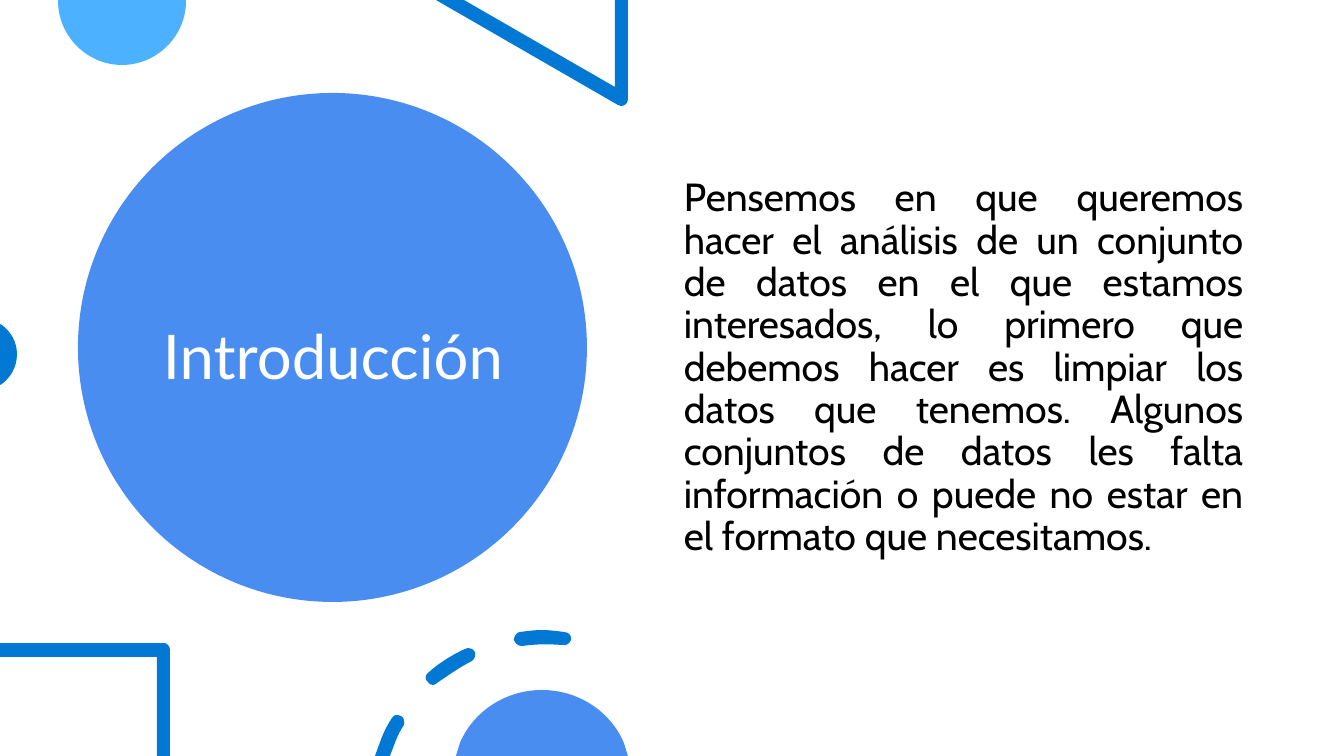
from pptx import Presentation
from pptx.dml.color import RGBColor
from pptx.enum.shapes import MSO_SHAPE
from pptx.enum.text import MSO_ANCHOR, PP_ALIGN
from pptx.oxml.ns import qn
from pptx.util import Emu, Inches, Pt

PIXELS_PER_INCH = 100.8
WIDTH, HEIGHT = 1344, 756
COLORS = {
    "circle": "498DF1",
    "sky": "4CB1FE",
    "accent": "0078D4",
    "title": "FFFFFF",
    "body": "000000",
}
BODY = (
    "Pensemos en que queremos hacer el análisis de un conjunto de datos en el "
    "que estamos interesados, lo primero que debemos hacer es limpiar los datos "
    "que tenemos. Algunos conjuntos de datos les falta información o puede no "
    "estar en el formato que necesitamos."
)

# Outlines: two numbers are a corner, six are a Bezier curve
SKY_CIRCLE = [(186, 0), (58, 0), (58, 1), (58, 36, 87, 65, 122, 65),
              (157, 65, 186, 36, 186, 1)]
TRIANGLE = [(628, 0), (615, 0), (615, 87), (464, 0), (436, 0), (618, 105),
            (619, 106, 620, 106, 621, 106), (625, 106, 628, 103, 628, 99)]
EDGE_DOT = [(0, 324), (0, 385), (2, 384), (11, 377, 17, 367, 17, 354),
            (17, 342, 11, 332, 2, 325)]
SQUARE = [(164, 643), (0, 643), (0, 657), (157, 657), (157, HEIGHT),
          (170, HEIGHT), (170, 650), (170, 646, 167, 643, 164, 643)]
LOW_DASH = [(398, 715), (396, 714, 393, 716, 392, 718),
            (388, 724, 385, 730, 382, 737), (375, HEIGHT), (390, HEIGHT),
            (395, 743), (397, 737, 400, 731, 404, 725),
            (405, 722, 404, 717, 401, 716), (400, 715, 399, 715, 398, 715)]
MIDDLE_DASH = [(468, 648), (467, 648, 466, 648, 465, 649),
               (452, 655, 439, 663, 428, 673), (425, 675, 425, 680, 428, 682),
               (429, 684, 431, 685, 433, 685), (435, 685, 436, 684, 437, 683),
               (449, 675, 460, 667, 472, 661), (475, 659, 476, 655, 475, 652),
               (473, 649, 471, 648, 468, 648)]
TOP_DASH = [(542, 630), (535, 630, 528, 631, 520, 632),
            (517, 632, 514, 636, 514, 640), (515, 643, 518, 646, 522, 646),
            (536, 644, 549, 644, 562, 645), (567, 646, 570, 643, 571, 640),
            (572, 636, 569, 632, 564, 632), (557, 631, 549, 630, 542, 630)]
BOTTOM_CIRCLE = [(542, 690), (505, 690, 473, 712, 460, 743), (456, HEIGHT),
                 (628, HEIGHT), (624, 743), (611, 712, 579, 690, 542, 690)]


def px(length):
    return Emu(round(Inches(1) * length / PIXELS_PER_INCH))


def paint(shape, color):
    shape.fill.solid()
    shape.fill.fore_color.rgb = RGBColor.from_string(COLORS[color])
    shape.line.fill.background()
    shape.shadow.inherit = False


def points(step):
    """Split the numbers of a step into points."""
    return [(px(x), px(y)) for x, y in zip(step[::2], step[1::2])]


def bend(shape, steps):
    """Join the three straight segments of each curve into one Bezier."""
    segments = iter(list(shape._element.iter(qn("a:lnTo"))))
    for step in steps:
        first, *others = [next(segments) for _ in points(step)]
        if others:
            first.tag = qn("a:cubicBezTo")
        for segment in others:
            first.append(segment[0])
            segment.getparent().remove(segment)


def add_outline(page, color, *contours):
    builder = page.shapes.build_freeform(*points(contours[0][0])[0], scale=1.0)
    for index, (start, *steps) in enumerate(contours):
        if index:
            builder.move_to(*points(start)[0])
        builder.add_line_segments(
            [point for step in steps for point in points(step)], close=True)
    shape = builder.convert_to_shape()
    bend(shape, [step for contour in contours for step in contour[1:]])
    paint(shape, color)


def add_circle(page, left, top, size, color):
    shape = page.shapes.add_shape(
        MSO_SHAPE.OVAL, px(left), px(top), px(size), px(size))
    paint(shape, color)


def add_text(page, text, left, top, width, height, *, font, size, color,
             align=PP_ALIGN.LEFT, anchor=MSO_ANCHOR.TOP, before=0):
    box = page.shapes.add_textbox(px(left), px(top), px(width), px(height))
    frame = box.text_frame
    frame.word_wrap = True
    frame.vertical_anchor = anchor
    para = frame.paragraphs[0]
    para.alignment = align
    para.line_spacing = 0.9
    para.space_before = Pt(before)
    span = para.add_run()
    span.text = text
    span.font.name = font
    span.font.size = Pt(size)
    span.font.color.rgb = RGBColor.from_string(COLORS[color])


def main():
    deck = Presentation()
    deck.slide_width, deck.slide_height = px(WIDTH), px(HEIGHT)
    page = deck.slides.add_slide(deck.slide_layouts[6])

    # Title
    add_circle(page, 78, 93, 509, "circle")
    add_text(page, "Introducción", 153, 135, 386, 449, font="Lato", size=44,
             color="title", anchor=MSO_ANCHOR.MIDDLE)

    # Decoration at the top and left
    add_outline(page, "sky", SKY_CIRCLE)
    add_outline(page, "accent", TRIANGLE)
    add_outline(page, "accent", EDGE_DOT)

    # Body
    add_text(page, BODY, 674, 173, 579, 413, font="Cabin", size=28,
             color="body", align=PP_ALIGN.JUSTIFY, before=10)

    # Decoration at the bottom
    add_outline(page, "accent", SQUARE)
    add_outline(page, "accent", LOW_DASH, MIDDLE_DASH, TOP_DASH)
    add_outline(page, "circle", BOTTOM_CIRCLE)

    deck.save("out.pptx")


main()
